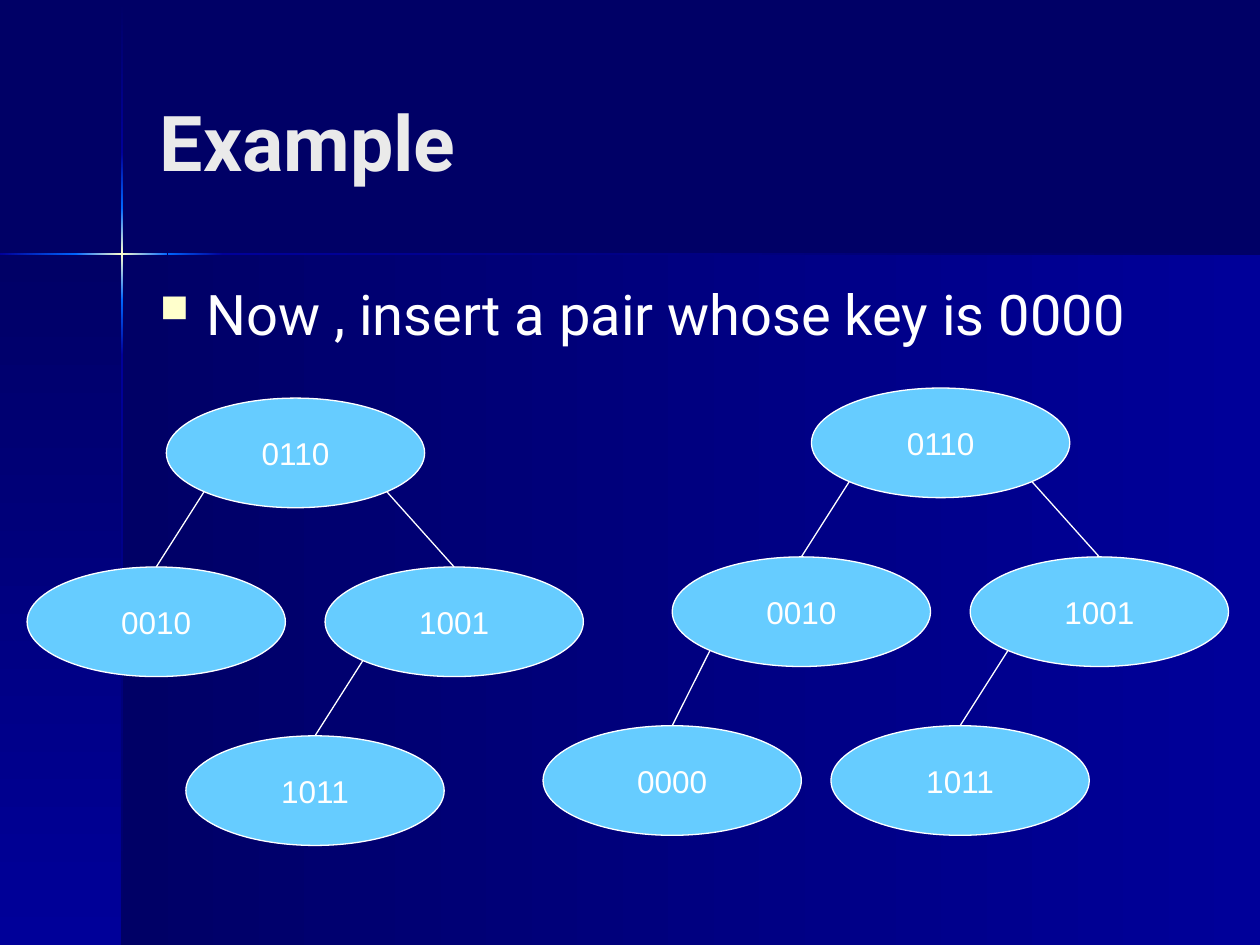
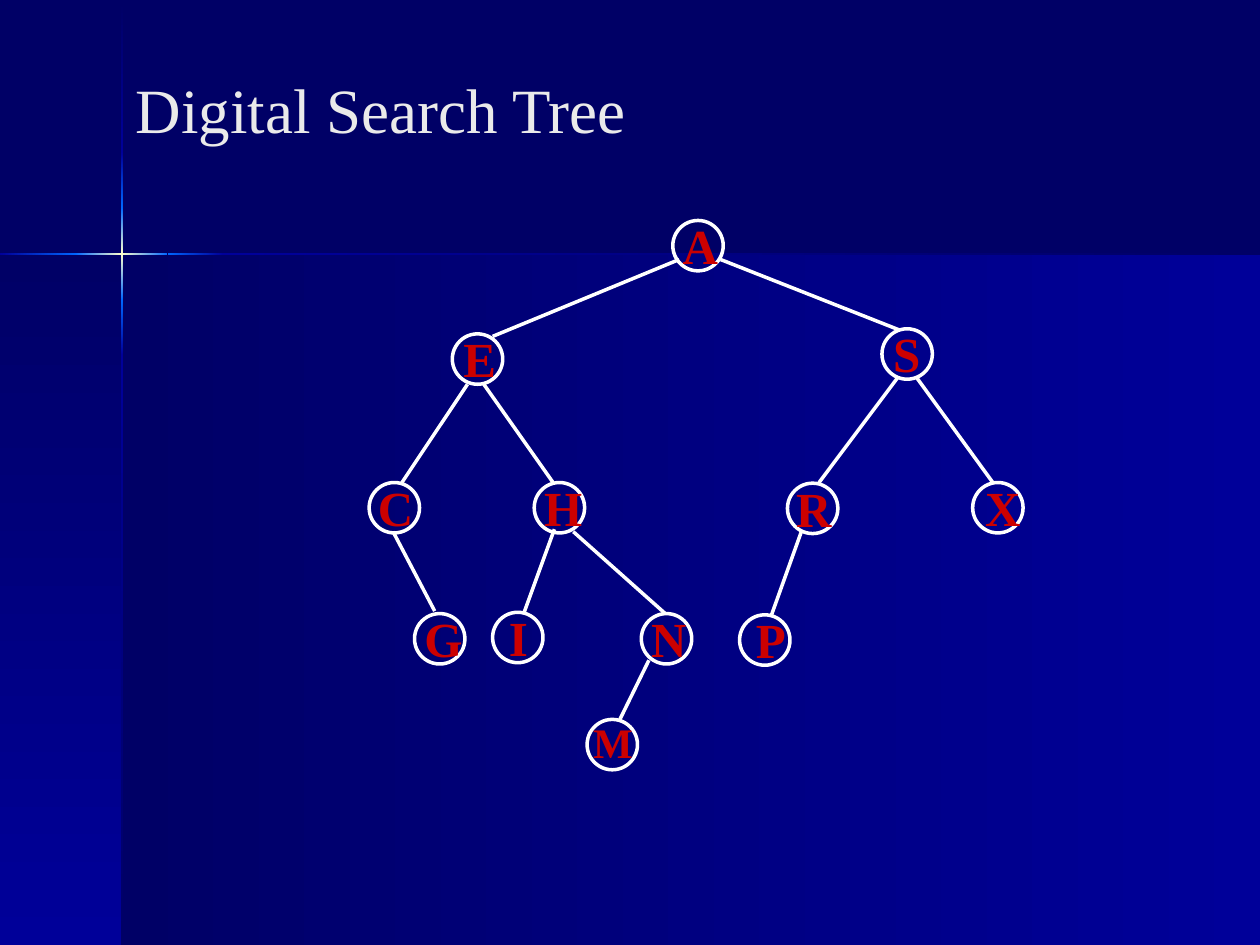
import copy
import math

import lxml.etree
import pptx
import pptx.dml.color
import pptx.enum.shapes
import pptx.enum.text
import pptx.oxml
import pptx.oxml.ns
import pptx.util

RGBColor = pptx.dml.color.RGBColor
Shape = pptx.enum.shapes.MSO_SHAPE
Anchor = pptx.enum.text.MSO_ANCHOR
Align = pptx.enum.text.PP_ALIGN
qn = pptx.oxml.ns.qn

NAVY = RGBColor(0x00, 0x00, 0x66)
BLUE = RGBColor(0x00, 0x00, 0x99)
BRIGHT = RGBColor(0x00, 0x66, 0xFF)
CREAM = RGBColor(0xFF, 0xFF, 0xCC)
SKY = RGBColor(0x66, 0xCC, 0xFF)
WHITE = RGBColor(0xFF, 0xFF, 0xFF)
RED = RGBColor(0xCC, 0x00, 0x00)
TITLE_GREY = RGBColor(0xEA, 0xEA, 0xEA)

WIDTH = pptx.util.Inches(10)
HEIGHT = pptx.util.Inches(7.5)
COLUMNS, ROWS = 100, 75
DOWN, LEFTWARD = 270, 180

BANDS = [
    (9.7, 20.2, 90.3, 54.8, LEFTWARD, (BLUE, NAVY)),
    (0, 20.2, 9.7, 54.8, DOWN, (NAVY, BLUE)),
    (9.6, 0.1, 0.16, 12, DOWN, (NAVY, BLUE)),
    (9.6, 28.2, 0.16, 46.8, DOWN, (BLUE, NAVY)),
    (17.7, 20.08, 82.3, 0.16, LEFTWARD, (NAVY, BLUE)),
    (9.6, 23.8, 0.16, 4.4, DOWN, (BRIGHT, BLUE)),
    (9.6, 12.1, 0.16, 4.4, DOWN, (BLUE, BRIGHT)),
    (9.6, 16.5, 0.16, 7.3, DOWN, (BRIGHT, CREAM, BRIGHT)),
    (0, 20.08, 6.1, 0.16, LEFTWARD, (BRIGHT, BLUE)),
    (13.3, 20.08, 4.4, 0.16, LEFTWARD, (BLUE, BRIGHT)),
    (6, 20.08, 7.3, 0.16, LEFTWARD, (BRIGHT, CREAM, BRIGHT)),
]

KEY_WIDTH, KEY_HEIGHT, LEVEL_PITCH = 20.5, 8.7, 13.4
TREE_BEFORE = {
    "0110": (0, 0, None),
    "0010": (-11.05, 1, "0110"),
    "1001": (12.6, 1, "0110"),
    "1011": (1.55, 2, "1001"),
}
TREE_AFTER = {**TREE_BEFORE, "0000": (-21.3, 2, "0010")}

CIRCLE = 4
LETTER_NODES = [
    ("A", 53.4, 17.5, -0.2), ("E", 35.9, 26.5, -0.1),
    ("S", 70, 26.1, -0.1), ("R", 62.5, 38.35, -0.3),
    ("X", 77.2, 38.3, 0), ("C", 29.3, 38.3, -0.3),
    ("H", 42.4, 38.3, -0.2), ("G", 32.9, 48.7, -0.2),
    ("I", 39.1, 48.6, 0.3), ("N", 50.9, 48.7, -0.2),
    ("M", 46.6, 57.1, -0.5), ("P", 58.7, 48.8, 0.3),
]
LETTER_EDGES = [
    (53.9, 20.6, 39.1, 26.7), (57.2, 20.6, 71.4, 26.2),
    (71.3, 29.9, 65, 38.3), (72.7, 29.9, 78.8, 38.3),
    (37.1, 30.5, 31.9, 38.3), (38.4, 30.5, 43.9, 38.3),
    (31.2, 42.2, 34.5, 48.5), (44, 42, 41.6, 48.6),
    (45.5, 42.2, 52.8, 48.7), (51.5, 52.4, 49.2, 57.1),
    (63.6, 42.2, 61.2, 48.9),
]


def place(column, row):
    return round(WIDTH * column / COLUMNS), round(HEIGHT * row / ROWS)


def add_run(paragraph, text, size, font, color, bold=False):
    run = paragraph.add_run()
    run.text = text
    run.font.size = pptx.util.Pt(size)
    run.font.name = font
    run.font.color.rgb = color
    run.font.bold = bold


def add_text(slide, box, text, size, font, color, bold=False, anchor=Anchor.TOP):
    shape = slide.shapes.add_textbox(*place(*box[:2]), *place(*box[2:]))
    frame = shape.text_frame
    frame.word_wrap = True
    frame.vertical_anchor = anchor
    add_run(frame.paragraphs[0], text, size, font, color, bold)
    return frame.paragraphs[0]


def add_title(slide, box, text, size, font, bold=False):
    add_text(slide, box, text, size, font, TITLE_GREY, bold, Anchor.MIDDLE)


def add_bullet(slide, box, text):
    paragraph = add_text(slide, box, text, 32, "Roboto", WHITE)
    paragraph.space_before = pptx.util.Pt(8)
    properties = paragraph._p.get_or_add_pPr()
    indent = pptx.util.Inches(0.37)
    properties.set("marL", str(indent))
    properties.set("indent", str(-indent))
    bullet_color = lxml.etree.SubElement(properties, qn("a:buClr"))
    lxml.etree.SubElement(bullet_color, qn("a:srgbClr"), val=str(CREAM))
    lxml.etree.SubElement(properties, qn("a:buSzPct"), val="70000")
    lxml.etree.SubElement(properties, qn("a:buChar"), char="■")


def add_band(slide, column, row, width, height, angle, colors):
    shape = slide.shapes.add_shape(
        Shape.RECTANGLE, *place(column, row), *place(width, height))
    shape.shadow.inherit = False
    shape.line.fill.background()
    shape.fill.gradient()
    shape.fill.gradient_angle = angle
    stop_list = shape._element.spPr.find(".//" + qn("a:gsLst"))
    for _ in colors[2:]:
        stop_list.append(copy.deepcopy(stop_list[0]))
    for index, (stop, color) in enumerate(zip(shape.fill.gradient_stops, colors)):
        stop.position = index / (len(colors) - 1)
        stop.color.rgb = color


def add_ellipse(slide, column, row, width, height, line_width):
    shape = slide.shapes.add_shape(
        Shape.OVAL, *place(column, row), *place(width, height))
    shape.shadow.inherit = False
    shape.fill.background()
    shape.line.color.rgb = WHITE
    shape.line.width = pptx.util.Pt(line_width)
    return shape


def add_edge(slide, start, end, line_width):
    connector = slide.shapes.add_connector(
        pptx.enum.shapes.MSO_CONNECTOR.STRAIGHT, *place(*start), *place(*end))
    connector.line.color.rgb = WHITE
    connector.line.width = pptx.util.Pt(line_width)
    lxml.etree.SubElement(connector._element.spPr, qn("a:effectLst"))


def add_key_tree(slide, root_column, root_row, tree):
    reach = math.sqrt(0.5) / 2
    centers = {}
    for key, (offset, level, parent) in tree.items():
        column = root_column + offset
        row = root_row + level * LEVEL_PITCH
        centers[key] = (column + KEY_WIDTH / 2, row + KEY_HEIGHT / 2)
        shape = add_ellipse(slide, column, row, KEY_WIDTH, KEY_HEIGHT, 0.75)
        shape.fill.solid()
        shape.fill.fore_color.rgb = SKY
        frame = shape.text_frame
        frame.word_wrap = False
        frame.vertical_anchor = Anchor.MIDDLE
        frame.paragraphs[0].alignment = Align.CENTER
        add_run(frame.paragraphs[0], key, 18, "Arial", WHITE)
        if parent:
            parent_column, parent_row = centers[parent]
            side = math.copysign(reach, centers[key][0] - parent_column)
            start = (parent_column + side * KEY_WIDTH,
                     parent_row + reach * KEY_HEIGHT)
            add_edge(slide, start, (centers[key][0], row), 0.75)


def add_letter_node(slide, letter, column, row, label_shift):
    add_ellipse(slide, column, row, CIRCLE, CIRCLE, 2)
    size, height, lift = (24, 5, 0.7) if letter == "M" else (28, 5.7, 0.9)
    box = (column + label_shift, row - lift, CIRCLE, height)
    add_text(slide, box, letter, size, "Times New Roman", RED, True)


def add_slide(presentation):
    slide = presentation.slides.add_slide(presentation.slide_layouts[6])
    for band in BANDS:
        add_band(slide, *band)
    return slide


def build_example(presentation):
    slide = add_slide(presentation)
    add_title(slide, (11.7, 3.3, 82.5, 15.7), "Example", 44, "Roboto", True)
    add_bullet(slide, (11.7, 21.7, 82.5, 45), "Now , insert a pair whose key is 0000")
    add_key_tree(slide, 13.2, 31.6, TREE_BEFORE)
    add_key_tree(slide, 64.4, 30.8, TREE_AFTER)


def build_letter_tree(presentation):
    slide = add_slide(presentation)
    add_title(slide, (9.8, 5.6, 77.5, 6), "Digital Search Tree", 36, "Times New Roman")
    for node in LETTER_NODES:
        add_letter_node(slide, *node)
    for edge in LETTER_EDGES:
        add_edge(slide, edge[:2], edge[2:], 2)


def main():
    presentation = pptx.Presentation()
    presentation.slide_width = WIDTH
    presentation.slide_height = HEIGHT
    background = presentation.slide_master.background.fill
    background.solid()
    background.fore_color.rgb = NAVY
    build_example(presentation)
    build_letter_tree(presentation)
    presentation.save("out.pptx")


if __name__ == "__main__":
    main()
